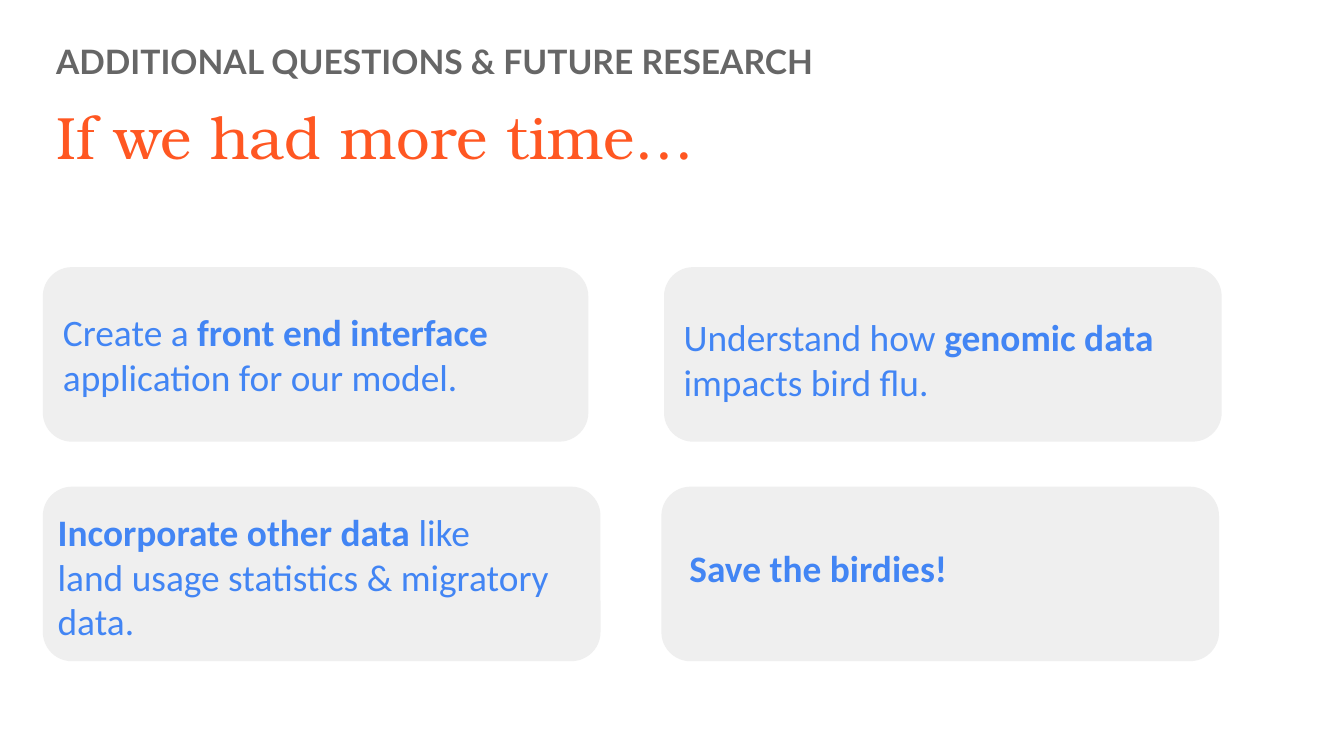
"""Build a slide with a heading and four cards of future research ideas."""
from pptx import Presentation
from pptx.dml.color import RGBColor
from pptx.enum.shapes import MSO_SHAPE
from pptx.enum.text import MSO_ANCHOR
from pptx.util import Cm, Pt

ROUND = MSO_SHAPE.ROUNDED_RECTANGLE
TOP, MIDDLE = MSO_ANCHOR.TOP, MSO_ANCHOR.MIDDLE


def color(code):
    return RGBColor.from_string(code)


def write(frame, text, font="Calibri", size=20, tint="4285F4",
          anchor=TOP, line=None, before=None, after=None):
    frame.word_wrap = True
    frame.vertical_anchor = anchor
    frame.margin_left = frame.margin_right = Cm(0.25)
    frame.margin_top = frame.margin_bottom = Cm(0.25)
    for row, words in enumerate(text.split("\n")):
        para = frame.add_paragraph() if row else frame.paragraphs[0]
        para.line_spacing = line
        para.space_before, para.space_after = before, after
        for part, piece in enumerate(words.split("**")):
            if piece:
                run = para.add_run()
                run.text = piece
                run.font.name, run.font.size = font, Pt(size)
                run.font.bold = part % 2 == 1
                run.font.color.rgb = color(tint)


class Deck:
    fill = "EFEFEF"
    high = 3.3

    def __init__(self):
        self.show = Presentation()
        self.show.slide_width, self.show.slide_height = Cm(25.4), Cm(14.29)
        self.slide = self.show.slides.add_slide(self.show.slide_layouts[6])

    def label(self, text, box, home=None, **style):
        home = home or self.slide
        shape = home.shapes.add_textbox(*map(Cm, box))
        write(shape.text_frame, text, **style)

    def card(self, text, left, top, wide, box):
        group = self.slide.shapes.add_group_shape()
        panel = group.shapes.add_shape(
            ROUND, Cm(left), Cm(top), Cm(wide), Cm(self.high))
        panel.adjustments[0] = 0.167
        panel.shadow.inherit = False
        panel.fill.solid()
        panel.fill.fore_color.rgb = color(self.fill)
        panel.line.fill.background()
        self.label(text, box, group)


def main():
    deck = Deck()
    deck.label("If we had more time…", (0.81, 1.63, 23.55, 1.7),
               font="TeX Gyre Bonum", size=32, tint="FF5722")
    deck.label("**ADDITIONAL QUESTIONS & FUTURE RESEARCH**",
               (0.81, 0.56, 14.83, 0.81), font="Lato", size=18,
               tint="666666", anchor=MIDDLE, line=1.5,
               before=Pt(8), after=Pt(27))
    upper, lower = 5.05, 9.2
    cards = [
        ("**Incorporate other data** like\n"
         "land usage statistics & migratory data.",
         0.81, lower, 10.54, (0.84, 9.37, 11.2, 2.92)),
        ("Create a **front end interface**\napplication for our model.",
         0.81, upper, 10.31, (0.94, 5.59, 11.48, 2.67)),
        ("Understand how **genomic data**\nimpacts bird flu.",
         12.55, upper, 10.54, (12.67, 5.69, 10.31, 2.67)),
        ("**Save the birdies!**",
         12.5, lower, 10.54, (12.78, 10.06, 11.2, 2.92)),
    ]
    for card in cards:
        deck.card(*card)
    deck.show.save("out.pptx")


if __name__ == "__main__":
    main()
